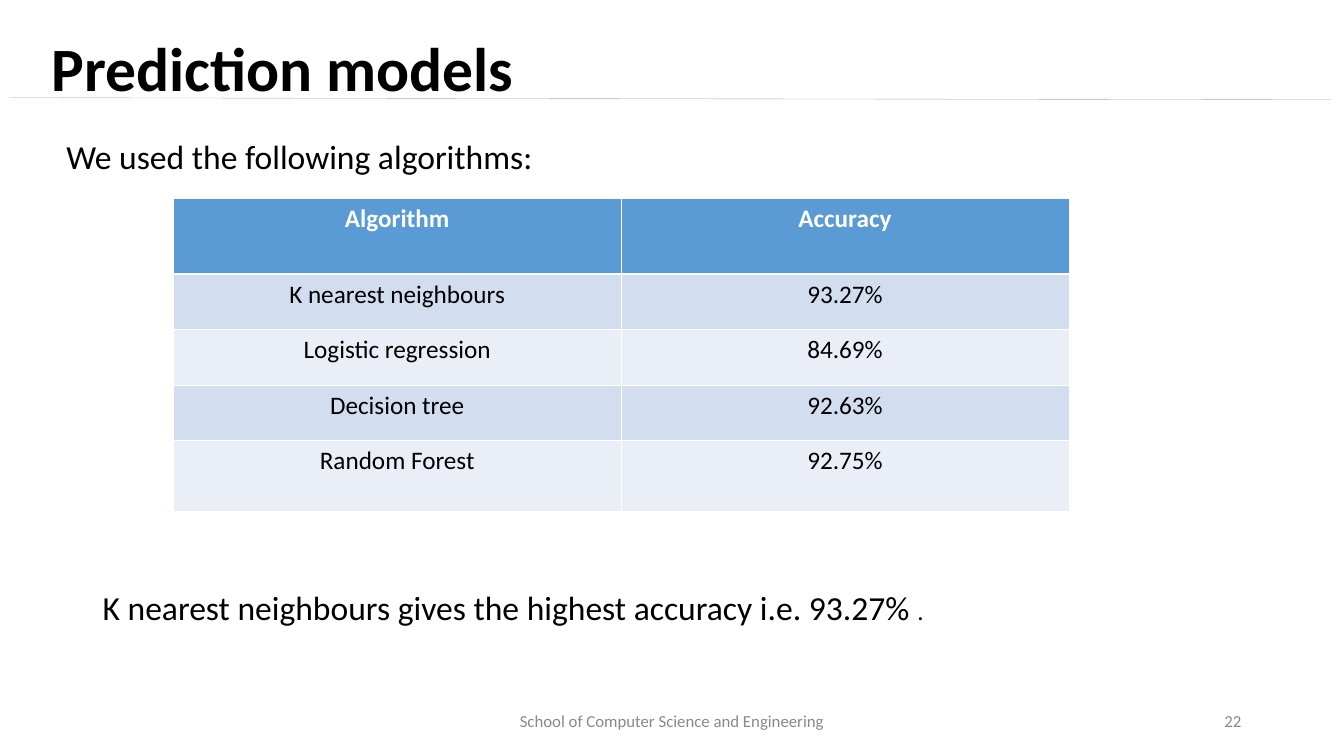
from dataclasses import dataclass

from lxml.etree import SubElement
from pptx import Presentation
from pptx.dml.color import RGBColor as RGB
from pptx.enum.shapes import MSO_CONNECTOR as Connector
from pptx.enum.text import MSO_ANCHOR as Anchor, PP_ALIGN as Align
from pptx.oxml import parse_xml
from pptx.oxml.ns import nsdecls, qn
from pptx.util import Inches, Pt


@dataclass(frozen=True)
class Theme:
    """Colours, font and type sizes of the slide."""
    font: str = "Calibri"
    ink: str = "000000"
    muted: str = "898989"
    rule: str = "E4948A"
    white: str = "FFFFFF"
    header: str = "5B9BD5"
    bands: tuple = ("D2DEEF", "EAEFF7")
    title_size: int = 44
    body_size: int = 24
    table_size: int = 18
    footer_size: int = 12
    thin: float = 0.45
    thick: float = 1.47


THEME = Theme()
ACCURACIES = [
    ("Algorithm", "Accuracy"),
    ("K nearest neighbours", "93.27%"),
    ("Logistic regression", "84.69%"),
    ("Decision tree", "92.63%"),
    ("Random Forest", "92.75%"),
]
ROW_HEIGHTS = (0.75, 0.55, 0.55, 0.55, 0.7)


def style(font, size, color, bold=False):
    """Apply the theme font with a size and colour."""
    font.name, font.size, font.bold = THEME.font, Pt(size), bold
    font.color.rgb = RGB.from_string(color)


def place(shape, box):
    """Move a shape to a box given in inches."""
    shape.left, shape.top, shape.width, shape.height = map(Inches, box)


def add_text(slide, box, text, size, color, align=Align.LEFT, anchor=Anchor.TOP):
    """Add a wrapped one-paragraph text box and return its paragraph."""
    frame = slide.shapes.add_textbox(*map(Inches, box)).text_frame
    frame.word_wrap, frame.vertical_anchor = True, anchor
    frame.text = text
    paragraph = frame.paragraphs[0]
    paragraph.alignment = align
    for run in paragraph.runs:
        style(run.font, size, color)
    return paragraph


def add_heading(slide, box):
    """Fill the title and draw the rule that underlines it."""
    title = slide.shapes.title
    place(title, box)
    frame = title.text_frame
    frame.text = "Prediction models"
    frame.vertical_anchor = Anchor.MIDDLE
    paragraph = frame.paragraphs[0]
    paragraph.alignment, paragraph.line_spacing = Align.LEFT, 0.9
    style(paragraph.runs[0].font, THEME.title_size, THEME.ink, bold=True)

    left, top = box[:2]
    ends = (left - 0.32, top + 0.76, left + 12.8, top + 0.78)
    rule = slide.shapes.add_connector(Connector.STRAIGHT, *map(Inches, ends))
    rule.line.color.rgb = RGB.from_string(THEME.rule)
    rule.line.width = Pt(0.25)
    SubElement(rule._element.spPr, qn("a:effectLst"))


def add_borders(cell, top, bottom):
    """Draw white borders around a cell, with top and bottom widths in points."""
    widths = {"lnL": THEME.thin, "lnR": THEME.thin, "lnT": top, "lnB": bottom}
    for index, (side, width) in enumerate(widths.items()):
        border = parse_xml(
            f'<a:{side} {nsdecls("a")} w="{Pt(width)}"><a:solidFill>'
            f'<a:srgbClr val="{THEME.white}"/></a:solidFill></a:{side}>')
        cell._tc.get_or_add_tcPr().insert(index, border)


def add_accuracy_table(slide, box):
    """Add the banded table of algorithms and accuracies."""
    table = slide.shapes.add_table(
        len(ACCURACIES), len(ACCURACIES[0]), *map(Inches, box)).table
    for column in table.columns:
        column.width = Inches(box[2] / len(table.columns))
    for index, (values, height) in enumerate(zip(ACCURACIES, ROW_HEIGHTS)):
        table.rows[index].height = Inches(height)
        is_header = index == 0
        fill = THEME.header if is_header else THEME.bands[(index - 1) % 2]
        for cell, value in zip(table.rows[index].cells, values):
            cell.text = value
            cell.fill.solid()
            cell.fill.fore_color.rgb = RGB.from_string(fill)
            paragraph = cell.text_frame.paragraphs[0]
            paragraph.alignment = Align.CENTER
            style(paragraph.runs[0].font, THEME.table_size,
                  THEME.white if is_header else THEME.ink, is_header)
            add_borders(cell, THEME.thick if index == 1 else THEME.thin,
                        THEME.thick if is_header else THEME.thin)


def add_conclusion(slide, box):
    """Add the closing sentence with its smaller full stop."""
    sentence = add_text(
        slide, box, "K nearest neighbours gives the highest accuracy i.e. 93.27% ",
        THEME.body_size, THEME.ink)
    stop = sentence.add_run()
    stop.text = "."
    style(stop.font, THEME.table_size, THEME.ink)


def add_footer(slide, box):
    """Add the school name and the slide number side by side."""
    left, top, width, height = box
    school_width = width * 0.6
    look = (THEME.footer_size, THEME.muted)
    add_text(slide, (left, top, school_width, height),
             "School of Computer Science and Engineering",
             *look, Align.CENTER, Anchor.MIDDLE)
    add_text(slide, (left + school_width + 0.5, top, width - school_width, height),
             "22", *look, Align.RIGHT, Anchor.MIDDLE)


def main():
    """Build and save the slide."""
    deck = Presentation()
    deck.slide_width, deck.slide_height = Inches(13.34), Inches(7.5)
    slide = deck.slides.add_slide(deck.slide_layouts[5])
    add_heading(slide, (0.41, 0.21, 11.5, 1))
    add_footer(slide, (4.42, 6.95, 7.5, 0.4))
    intro = add_text(slide, (0.56, 1.34, 11.5, 0.5),
                     "We used the following algorithms:", THEME.body_size, THEME.ink)
    intro.line_spacing = 0.9
    add_accuracy_table(slide, (1.72, 1.97, 8.89, sum(ROW_HEIGHTS)))
    add_conclusion(slide, (0.92, 5.77, 10.82, 0.5))
    deck.save("out.pptx")


if __name__ == "__main__":
    main()
